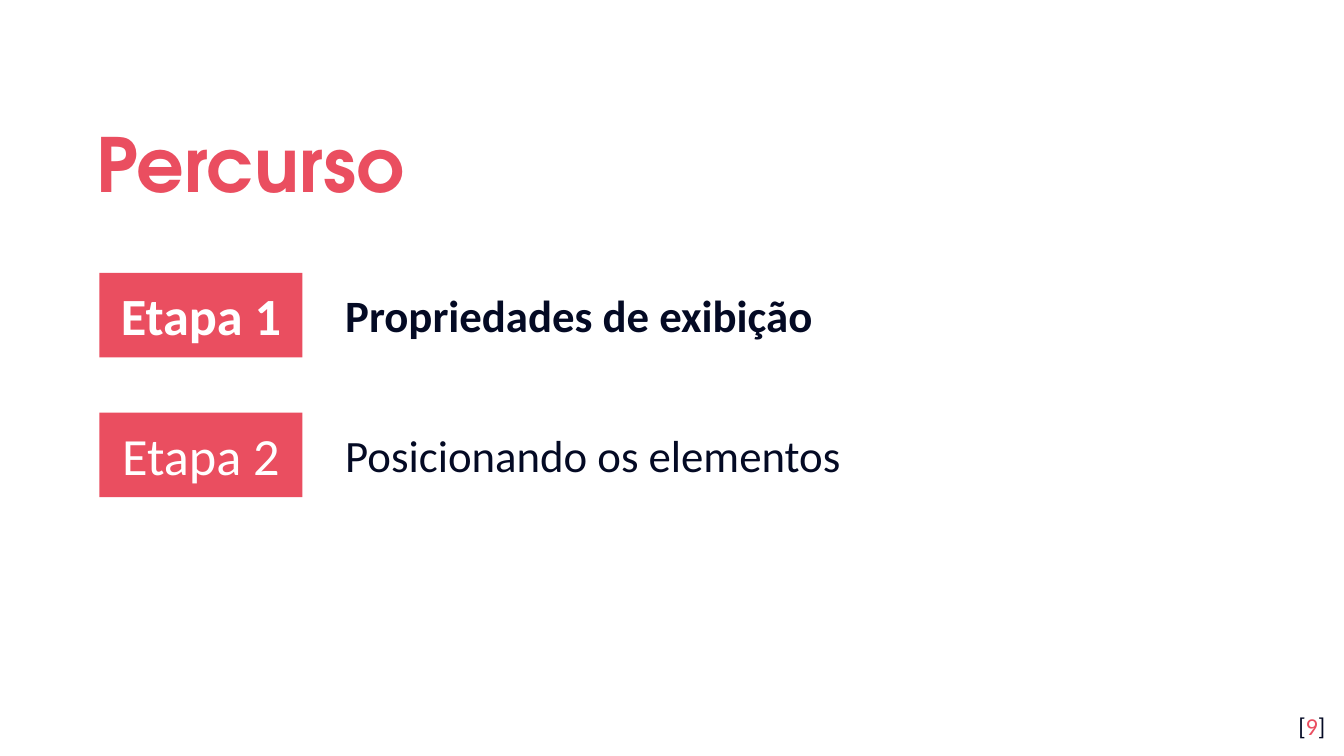
from dataclasses import dataclass

from pptx import Presentation
from pptx.dml.color import RGBColor
from pptx.enum.shapes import MSO_SHAPE
from pptx.enum.text import MSO_ANCHOR, PP_ALIGN
from pptx.util import Inches, Pt


@dataclass(frozen=True)
class Theme:
    accent: str = "EA4E60"
    ink: str = "040A24"
    paper: str = "FFFFFF"
    heading_font: str = "TeX Gyre Adventor"
    body_font: str = "Calibri"
    title_size: int = 40
    badge_size: int = 28
    topic_size: int = 24
    page_size: int = 13


THEME = Theme()


def color(value):
    return RGBColor.from_string(value)


def write(shape, runs, size, font=THEME.body_font, bold=False,
          align=PP_ALIGN.LEFT, anchor=MSO_ANCHOR.TOP, inset=0.1):
    frame = shape.text_frame
    frame.word_wrap = True
    frame.vertical_anchor = anchor
    frame.margin_left = frame.margin_right = Inches(0.1)
    frame.margin_top = frame.margin_bottom = Inches(inset)
    paragraph = frame.paragraphs[0]
    paragraph.alignment = align
    for text, tint in runs:
        run = paragraph.add_run()
        run.text = text
        run.font.name = font
        run.font.size = Pt(size)
        run.font.bold = bold
        run.font.color.rgb = color(tint)
    return paragraph


def add_text(slide, left, top, width, height, runs, size, **style):
    box = slide.shapes.add_textbox(
        Inches(left), Inches(top), Inches(width), Inches(height))
    return write(box, runs, size, **style)


def add_title(slide, left, top, width, height, title):
    heading = add_text(slide, left, top, width, height,
                       [(title, THEME.accent)], THEME.title_size,
                       font=THEME.heading_font, bold=True,
                       anchor=MSO_ANCHOR.MIDDLE)
    heading.line_spacing = 1.15


def add_stage(slide, left, top, width, height, label, topic, current):
    badge_width, gap, topic_height = 1.51, 0.22, 0.5
    badge = slide.shapes.add_shape(
        MSO_SHAPE.RECTANGLE, Inches(left), Inches(top),
        Inches(badge_width), Inches(height))
    badge.shadow.inherit = False
    badge.fill.solid()
    badge.fill.fore_color.rgb = color(THEME.accent)
    badge.line.fill.background()
    write(badge, [(label, THEME.paper)], THEME.badge_size, bold=current,
          align=PP_ALIGN.CENTER, anchor=MSO_ANCHOR.MIDDLE)

    topic_offset = badge_width + gap
    add_text(slide, left + topic_offset, top + (height - topic_height) / 2,
             width - topic_offset, topic_height,
             [(topic, THEME.ink)], THEME.topic_size, bold=current, inset=0.05)


def add_route(slide, left, top, width, stages, current):
    stage_height, pitch = 0.63, 1.04
    for index, topic in enumerate(stages):
        number = index + 1
        add_stage(slide, left, top + index * pitch, width, stage_height,
                  f"Etapa {number}", topic, number == current)


def add_page_number(slide, left, top, width, height, number):
    add_text(slide, left, top, width, height,
             [("[", THEME.ink), (str(number), THEME.accent), ("]", THEME.ink)],
             THEME.page_size, align=PP_ALIGN.RIGHT)


def build():
    deck = Presentation()
    deck.slide_width = Inches(10)
    deck.slide_height = Inches(10 * 9 / 16)
    slide = deck.slides.add_slide(deck.slide_layouts[6])
    slide.background.fill.solid()
    slide.background.fill.fore_color.rgb = color(THEME.paper)

    add_title(slide, 0.62, 0.7, 8.1, 0.92, "Percurso")
    add_route(slide, 0.74, 2.03, 8.48,
              ["Propriedades de exibição", "Posicionando os elementos"],
              current=1)
    add_page_number(slide, 9.36, 5.19, 0.6, 0.43, 9)
    deck.save("out.pptx")


build()
